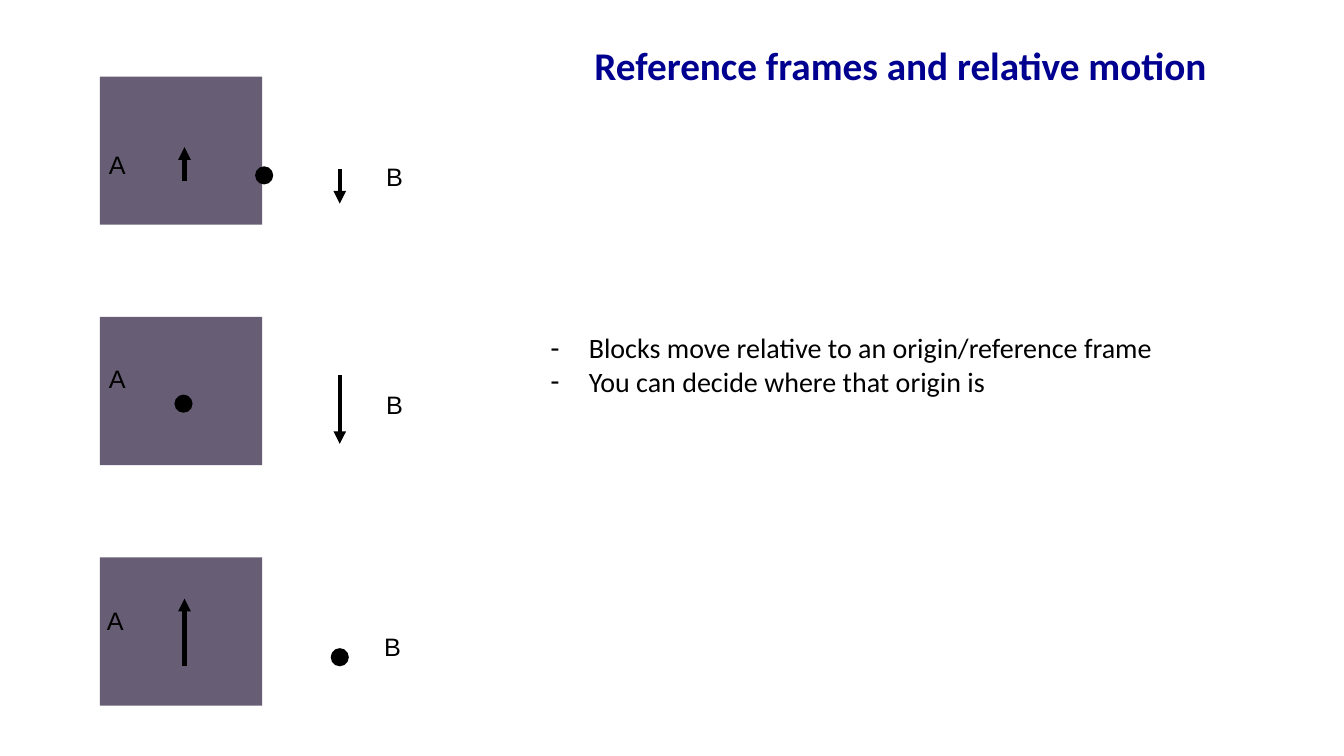
from pptx import Presentation
from pptx.dml.color import RGBColor
from pptx.enum.shapes import MSO_CONNECTOR, MSO_SHAPE
from pptx.enum.text import MSO_ANCHOR, MSO_AUTO_SIZE, PP_ALIGN
from pptx.oxml.ns import qn
from pptx.util import Inches, Pt
from lxml import etree

STRAIGHT = MSO_CONNECTOR.STRAIGHT
RECTANGLE, OVAL = MSO_SHAPE.RECTANGLE, MSO_SHAPE.OVAL
MIDDLE, TOP = MSO_ANCHOR.MIDDLE, MSO_ANCHOR.TOP
CENTER, LEFT = PP_ALIGN.CENTER, PP_ALIGN.LEFT
NO_FIT = MSO_AUTO_SIZE.NONE

COLORS = {"title": "000090", "block": "675E75", "ink": "000000"}

FIRST_TOP, ROW_PITCH = 0.76, 2.385
BLOCK_LEFT, BLOCK_WIDTH, BLOCK_HEIGHT = 0.99, 1.61, 1.47
COLUMN_A, COLUMN_B = 1.83, 3.37
LABEL_A, LABEL_B = 1.02, 3.77
ORIGIN_SIZE = 0.18

SCENES = [
    {"labels": [("A", LABEL_A, 0.66), ("B", LABEL_B, 0.78)],
     "origin": (2.62, 0.98),
     "velocities": [(COLUMN_A, 1.04, 0.7), (COLUMN_B, 0.92, 1.26)]},
    {"labels": [("A", LABEL_A, 0.4), ("B", LABEL_B, 0.66)],
     "origin": (COLUMN_A - 0.01, 0.86),
     "velocities": [(COLUMN_B, 0.58, 1.26)]},
    {"labels": [("A", LABEL_A - 0.02, 0.41), ("B", LABEL_B - 0.02, 0.67)],
     "origin": (COLUMN_B, 0.99),
     "velocities": [(COLUMN_A, 1.08, 0.41)]},
]


def style_text(paragraph, font_name, size, color, bold=False):
    for run in paragraph.runs:
        run.font.name = font_name
        run.font.size = Pt(size)
        run.font.bold = bold
        run.font.color.rgb = RGBColor.from_string(COLORS[color])


def add_solid(preset, left, top, width, height, color):
    solid = slide.shapes.add_shape(
        preset, Inches(left), Inches(top), Inches(width), Inches(height))
    solid.shadow.inherit = False
    solid.fill.solid()
    solid.fill.fore_color.rgb = RGBColor.from_string(COLORS[color])
    solid.line.fill.background()


prs = Presentation()
prs.slide_width, prs.slide_height = Inches(13.33), Inches(7.5)
slide = prs.slides.add_slide(prs.slide_layouts[1])

title = slide.shapes.title
title.left, title.top = Inches(4.76), Inches(0.36)
title.width, title.height = Inches(8.34), Inches(0.57)
title.text_frame.text = "Reference frames and relative motion"
title.text_frame.auto_size = NO_FIT
title.text_frame.vertical_anchor = TOP
title.text_frame.paragraphs[0].alignment = CENTER
style_text(title.text_frame.paragraphs[0], "Calibri", 28, "title", True)

points = slide.placeholders[1]
points.left, points.top = Inches(5.36), Inches(3.23)
points.width, points.height = Inches(7.5), Inches(0.77)
points.text_frame.text = (
    "Blocks move relative to an origin/reference frame\n"
    "You can decide where that origin is")
points.text_frame.auto_size = NO_FIT
for point in points.text_frame.paragraphs:
    properties = point._p.get_or_add_pPr()
    properties.set("marL", str(Inches(0.38)))
    properties.set("indent", str(-Inches(0.38)))
    etree.SubElement(properties, qn("a:buChar")).set("char", "-")
    point.alignment = LEFT
    point.space_before = Pt(0)
    style_text(point, "Calibri", 20, "ink")

for row, scene in enumerate(SCENES):
    scene_top = FIRST_TOP + row * ROW_PITCH
    add_solid(RECTANGLE, BLOCK_LEFT, scene_top, BLOCK_WIDTH, BLOCK_HEIGHT, "block")

    for x, start, end in scene["velocities"]:
        velocity = slide.shapes.add_connector(
            STRAIGHT, Inches(x), Inches(scene_top + start),
            Inches(x), Inches(scene_top + end))
        velocity.line.width = Pt(3)
        velocity.line.color.rgb = RGBColor.from_string(COLORS["ink"])
        etree.SubElement(velocity.line._get_or_add_ln(), qn("a:tailEnd")).set("type", "triangle")
        etree.SubElement(velocity._element.spPr, qn("a:effectLst"))

    for letter, left, offset in scene["labels"]:
        label = slide.shapes.add_textbox(
            Inches(left), Inches(scene_top + offset), Inches(0.46), Inches(0.42))
        frame = label.text_frame
        frame.word_wrap = True
        frame.vertical_anchor = MIDDLE
        frame.margin_left = frame.margin_right = Inches(0.06)
        frame.margin_top = frame.margin_bottom = Inches(0.06)
        frame.text = letter
        style_text(frame.paragraphs[0], "Arial", 18, "ink")

    origin_x, origin_y = scene["origin"]
    add_solid(OVAL, origin_x - ORIGIN_SIZE / 2, scene_top + origin_y - ORIGIN_SIZE / 2,
              ORIGIN_SIZE, ORIGIN_SIZE, "ink")

prs.save("out.pptx")
